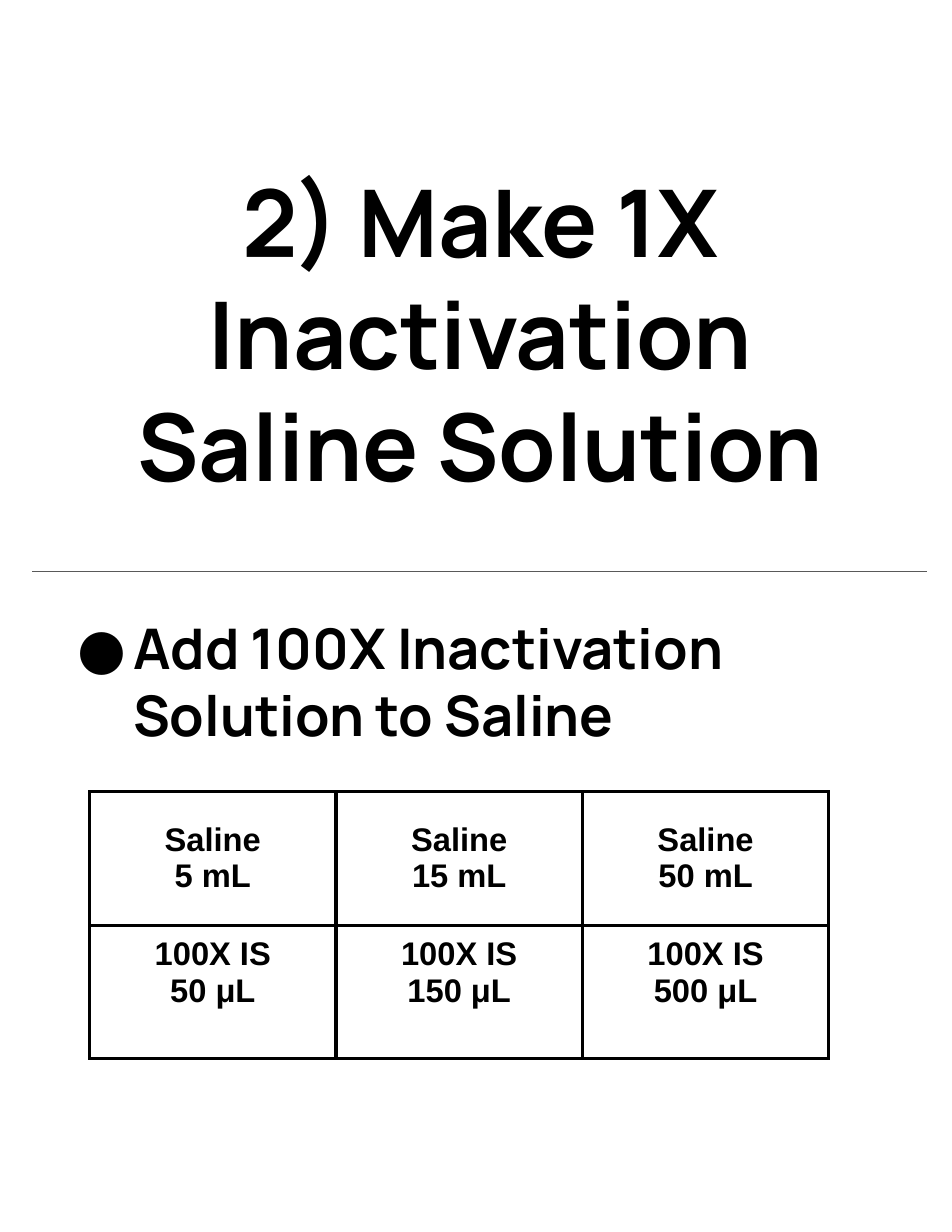
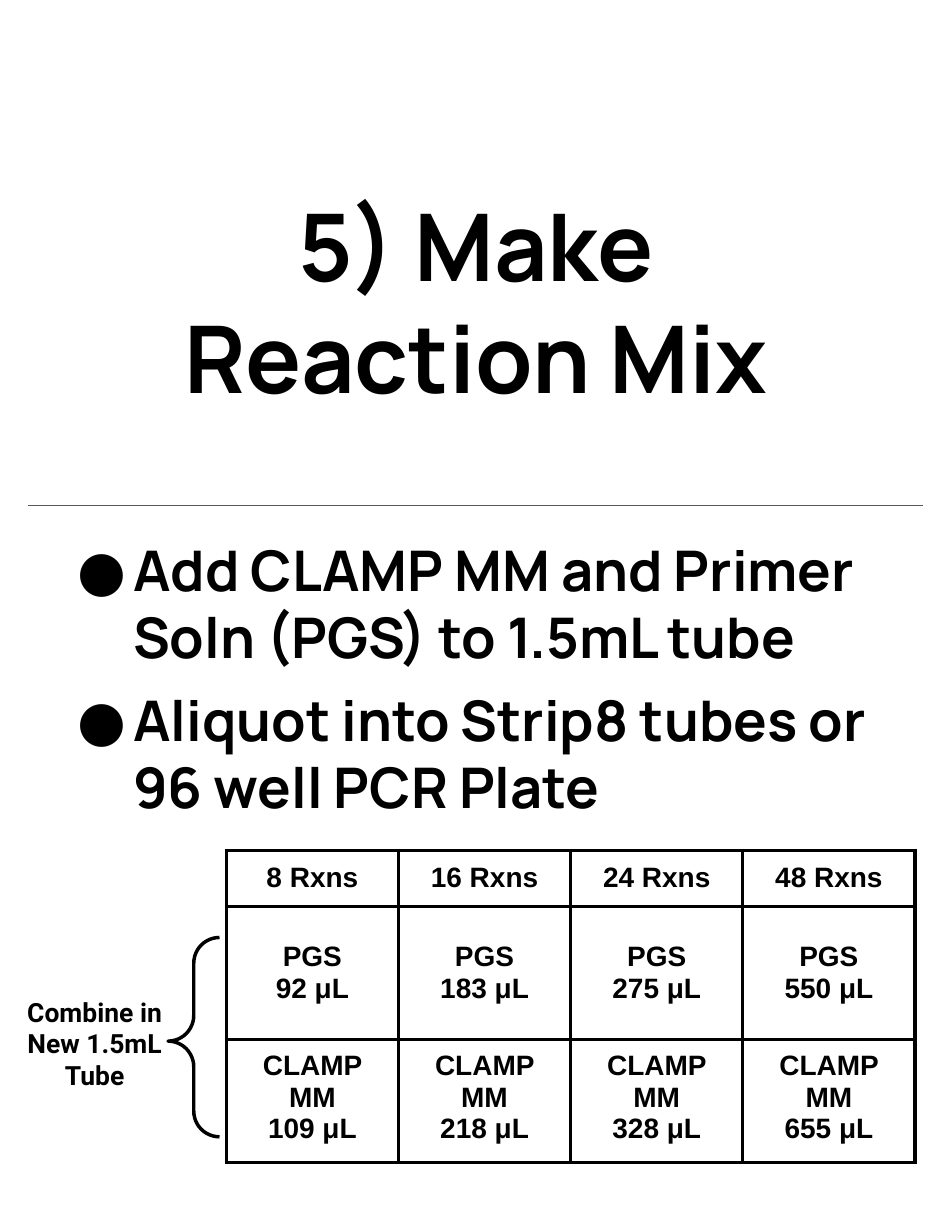
from lxml.etree import SubElement
from pptx import Presentation
from pptx.dml.color import RGBColor
from pptx.enum.shapes import MSO_CONNECTOR as Connector, MSO_SHAPE as Preset
from pptx.enum.text import MSO_ANCHOR as Anchor, PP_ALIGN as Align
from pptx.oxml import parse_xml
from pptx.oxml.ns import nsdecls, qn
from pptx.util import Pt

BLACK = RGBColor(0x00, 0x00, 0x00)
RULE_GRAY = RGBColor(0x59, 0x59, 0x59)
HEADING_FONT = "Manrope"
TABLE_FONT = "Arial"
NOTE_FONT = "Roboto"
INSET = Pt(7.2)
BULLET_INDENT = Pt(36)
BORDER = Pt(2.25)


def write(frame, lines, size, font, align=Align.CENTER, bullet=None, gap=0):
    frame.word_wrap = True
    for index, line in enumerate(lines):
        paragraph = frame.paragraphs[0] if index == 0 else frame.add_paragraph()
        paragraph.alignment = align
        if index and gap:
            paragraph.space_before = Pt(gap)
        if bullet:
            properties = paragraph._p.get_or_add_pPr()
            properties.set("marL", str(BULLET_INDENT))
            properties.set("indent", str(-BULLET_INDENT))
            color = SubElement(properties, qn("a:buClr"))
            SubElement(color, qn("a:srgbClr"), val=str(BLACK))
            SubElement(properties, qn("a:buFont"), typeface=font)
            SubElement(properties, qn("a:buChar"), char=bullet)
        run = paragraph.add_run()
        run.text = line
        run.font.size = Pt(size)
        run.font.name = font
        run.font.bold = True
        run.font.color.rgb = BLACK


def add_text(slide, box, lines, size, font, **style):
    shape = slide.shapes.add_textbox(*map(Pt, box))
    frame = shape.text_frame
    frame.margin_left = frame.margin_right = INSET
    frame.margin_top = frame.margin_bottom = INSET
    write(frame, lines, size, font, **style)


presentation = Presentation()
presentation.slide_width = Pt(612)
presentation.slide_height = Pt(792)

steps = [
    {
        "title": ["2) Make 1X Inactivation", "Saline Solution"],
        "title_box": (23.76, 98.64, 570.24, 171.36),
        "rule": (20.88, 367.2),
        "bullets": ["Add 100X Inactivation Solution to Saline"],
        "bullet_box": (42.48, 387.36, 526.32, 122.4),
        "table_at": (57.6, 509.04),
        "column_width": 158.4,
        "row_heights": [85.68, 85.68],
        "table_size": 21,
        "rows": [
            [["Saline", volume] for volume in ("5 mL", "15 mL", "50 mL")],
            [["100X IS", volume] for volume in ("50 μL", "150 μL", "500 μL")],
        ],
    },
    {
        "title": ["5) Make", "Reaction Mix"],
        "title_box": (20.88, 113.76, 570.24, 171.36),
        "rule": (18, 324.72),
        "bullets": [
            "Add CLAMP MM and Primer Soln (PGS) to 1.5mL tube",
            "Aliquot into Strip8 tubes or 96 well PCR Plate",
        ],
        "bullet_box": (42.48, 336.96, 558, 106.56),
        "table_at": (145.44, 546.48),
        "column_width": 110.7,
        "row_heights": [36, 85.68, 57.6],
        "table_size": 18,
        "rows": [
            [[f"{count} Rxns"] for count in (8, 16, 24, 48)],
            [["PGS", f"{volume} μL"] for volume in (92, 183, 275, 550)],
            [["CLAMP MM", f"{volume} μL"] for volume in (109, 218, 328, 655)],
        ],
    },
]

for step in steps:
    slide = presentation.slides.add_slide(presentation.slide_layouts[6])
    add_text(slide, step["title_box"], step["title"], 60, HEADING_FONT)
    add_text(slide, step["bullet_box"], step["bullets"], 36, HEADING_FONT,
             align=Align.LEFT, bullet="●", gap=10)

    left, top = step["rule"]
    rule = slide.shapes.add_connector(
        Connector.STRAIGHT, Pt(left), Pt(top), Pt(left + 575.28), Pt(top))
    rule.line.color.rgb = RULE_GRAY
    rule.line.width = Pt(0.75)
    SubElement(rule._element.spPr, qn("a:effectLst"))

    rows, heights = step["rows"], step["row_heights"]
    column_count = len(rows[0])
    left, top = step["table_at"]
    table = slide.shapes.add_table(
        len(rows), column_count, Pt(left), Pt(top),
        Pt(column_count * step["column_width"]), Pt(sum(heights))).table
    table.first_row = table.horz_banding = False
    for column in table.columns:
        column.width = Pt(step["column_width"])
    for row_index, (row, height) in enumerate(zip(rows, heights)):
        table.rows[row_index].height = Pt(height)
        is_last = row_index == len(rows) - 1
        for column_index, lines in enumerate(row):
            cell = table.cell(row_index, column_index)
            cell.margin_left = cell.margin_right = INSET
            cell.margin_top = cell.margin_bottom = INSET
            cell.vertical_anchor = Anchor.TOP if is_last else Anchor.MIDDLE
            write(cell.text_frame, lines, step["table_size"], TABLE_FONT)
            properties = cell._tc.get_or_add_tcPr()
            for side in ("lnL", "lnR", "lnT", "lnB"):
                properties.append(parse_xml(
                    f'<a:{side} {nsdecls("a")} w="{BORDER}"><a:solidFill>'
                    f'<a:srgbClr val="{BLACK}"/></a:solidFill></a:{side}>'))
            cell.fill.background()

brace = slide.shapes.add_shape(
    Preset.RIGHT_BRACE, Pt(108), Pt(602.64), Pt(33.12), Pt(128.16))
brace.rotation = 180
brace.adjustments[0] = 0.5
brace.adjustments[1] = 0.48
brace.shadow.inherit = False
brace.fill.background()
brace.line.color.rgb = BLACK
brace.line.width = BORDER
add_text(slide, (-0.72, 632.88, 123.12, 76.32),
         ["Combine in New 1.5mL", "Tube"], 17, NOTE_FONT)

presentation.save("out.pptx")
